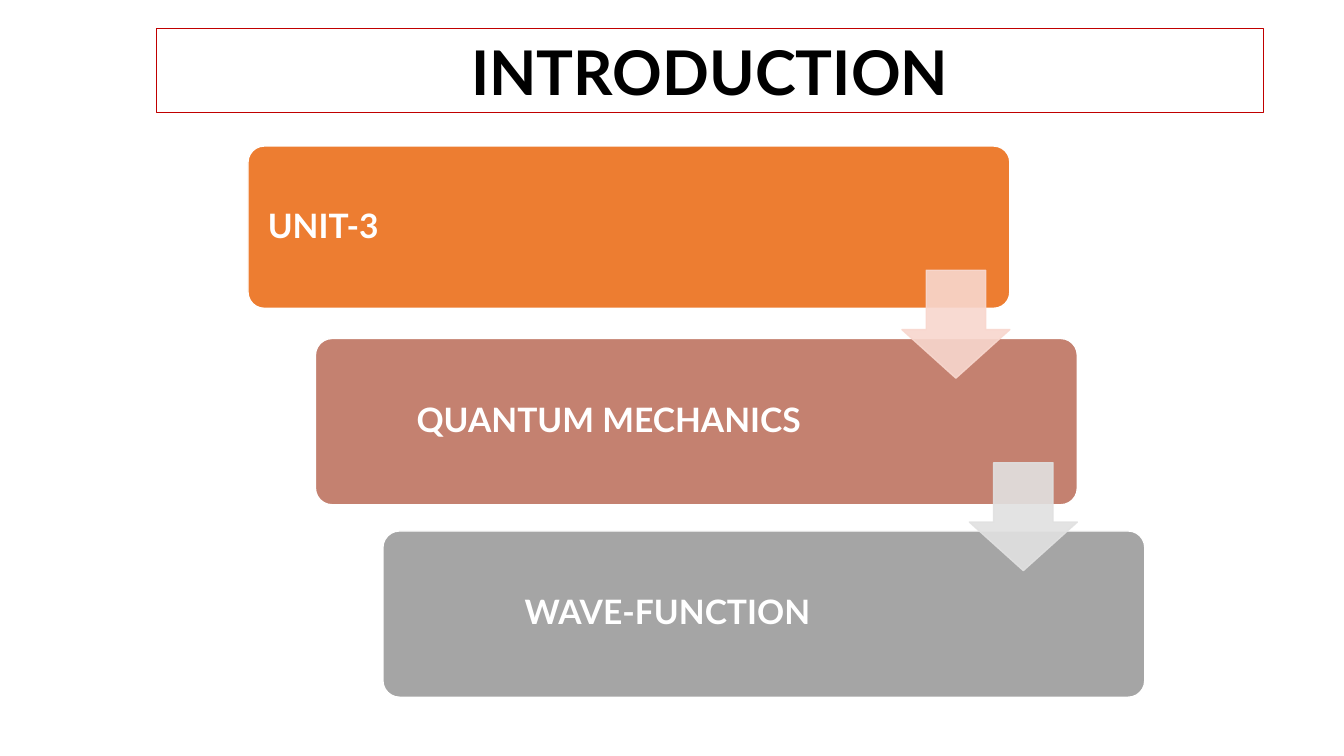
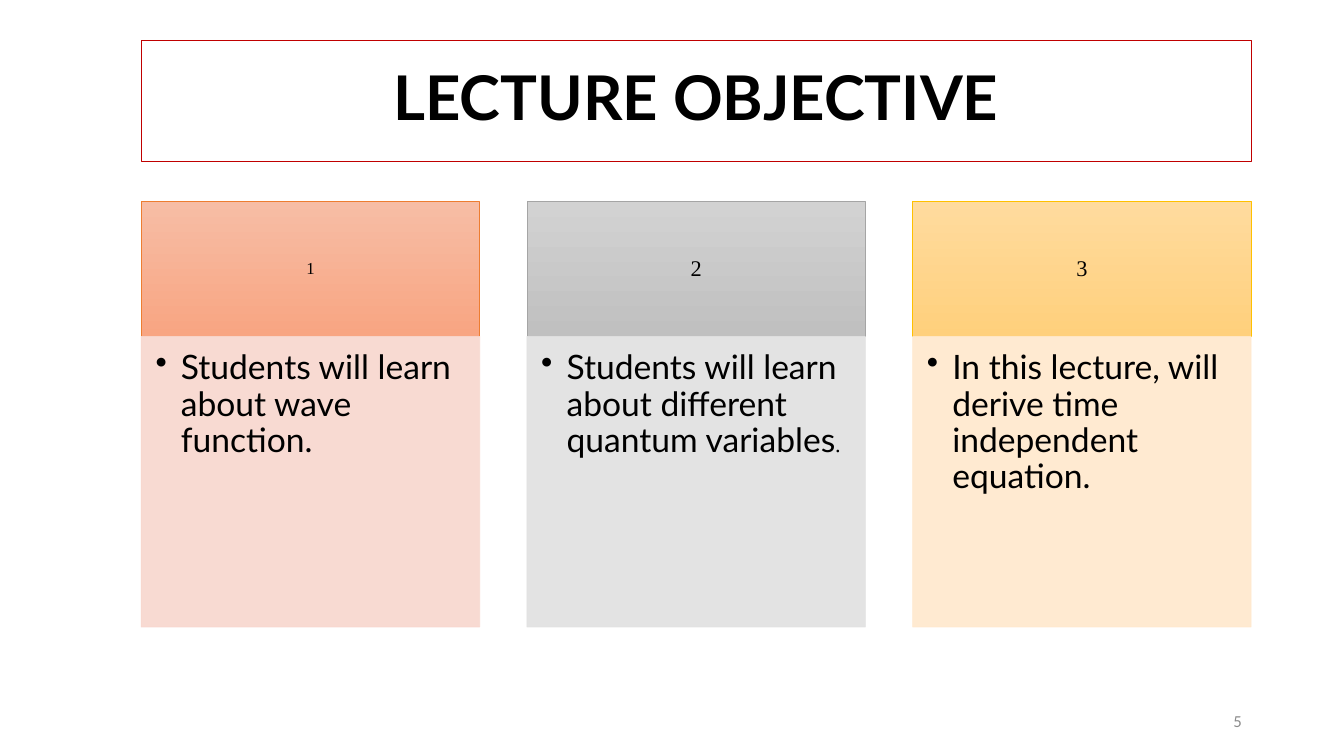
from dataclasses import dataclass

from lxml.etree import SubElement
from pptx import Presentation
from pptx.dml.color import RGBColor
from pptx.enum.shapes import MSO_SHAPE as Preset
from pptx.enum.text import MSO_ANCHOR as Anchor, PP_ALIGN as Align
from pptx.oxml.ns import qn
from pptx.shapes.autoshape import Shape
from pptx.slide import Slide
from pptx.util import Cm, Pt

BLACK, WHITE, TITLE_LINE, NUMBER_GREY = "000000", "FFFFFF", "C00000", "8C8C8C"
ORANGE, ROSE, GREY, GOLD = "ED7D31", "C48170", "A5A5A5", "FFC000"
PALE_ORANGE, PALE_GREY, PALE_GOLD = "F8D7CE", "E1E1E1", "FFE8CC"
HEADING_FONT, NUMBER_FONT, FOOTER_FONT = "Lato", "Times New Roman", "Calibri"
DEFAULT_INSETS = (0.25, 0.13, 0.25, 0.13)


@dataclass(frozen=True)
class Area:
    """Left, top, width and height in centimetres."""
    left: float
    top: float
    width: float
    height: float

    def lengths(self) -> tuple[Cm, Cm, Cm, Cm]:
        return Cm(self.left), Cm(self.top), Cm(self.width), Cm(self.height)


@dataclass(frozen=True)
class Span:
    text: str
    size: float
    font: str = HEADING_FONT
    color: str = BLACK
    bold: bool = False


@dataclass(frozen=True)
class Step:
    text: str
    color: str
    height: float
    inset_left: float
    inset_right: float
    align: Align = Align.LEFT
    arrow_color: str | None = None


@dataclass(frozen=True)
class Card:
    number: Span
    spans: tuple[Span, ...]
    line: str
    gradient: tuple[str, str]
    body: str


STEPS = (
    Step("UNIT-3", ORANGE, 4.09, 0.38, 4.5, arrow_color=PALE_ORANGE),
    Step("QUANTUM MECHANICS", ROSE, 4.19, 0.38, 4.8, Align.CENTER, PALE_GREY),
    Step("WAVE-FUNCTION", GREY, 4.19, 3.45, 4.8),
)
CARDS = (
    Card(Span("1", 12, NUMBER_FONT),
         (Span("Students will learn about wave function.", 24),),
         ORANGE, ("F7BDA5", "F8A582"), PALE_ORANGE),
    Card(Span("2", 16, NUMBER_FONT),
         (Span("Students will learn about different quantum variables", 24),
          Span(".", 16, NUMBER_FONT)),
         GREY, ("D2D2D2", "C0C0C0"), PALE_GREY),
    Card(Span("3", 16, NUMBER_FONT),
         (Span("In this lecture, will derive time independent equation.", 24),),
         GOLD, ("FFDB9E", "FFD07C"), PALE_GOLD),
)


def rgb(value: str) -> RGBColor:
    return RGBColor.from_string(value)


def add_shape(page: Slide, preset: Preset, area: Area, *, fill: str | None = None,
              gradient: tuple[str, str] | None = None, line: str = WHITE,
              line_width: float = 1, opacity: int = 100,
              adjustments: tuple[float, ...] = ()) -> Shape:
    shape = page.shapes.add_shape(preset, *area.lengths())
    shape.shadow.inherit = False
    for index, value in enumerate(adjustments):
        shape.adjustments[index] = value
    if gradient:
        shape.fill.gradient()
        shape.fill.gradient_angle = 270
        for stop, color in zip(shape.fill.gradient_stops, gradient):
            stop.color.rgb = rgb(color)
    elif fill:
        shape.fill.solid()
        shape.fill.fore_color.rgb = rgb(fill)
    else:
        shape.fill.background()
    shape.line.color.rgb = rgb(line)
    shape.line.width = Pt(line_width)
    if opacity < 100:
        for color in shape.element.spPr.iter(qn("a:srgbClr")):
            SubElement(color, qn("a:alpha"), val=str(opacity * 1000))
    return shape


def write(shape: Shape, *spans: Span, align: Align = Align.CENTER,
          anchor: Anchor = Anchor.MIDDLE, line_spacing: float = 0.9,
          insets: tuple[float, ...] = DEFAULT_INSETS, bullet: bool = False) -> None:
    """Fill the shape with one paragraph; insets run left, top, right, bottom."""
    frame = shape.text_frame
    frame.word_wrap = True
    frame.vertical_anchor = anchor
    (frame.margin_left, frame.margin_top,
     frame.margin_right, frame.margin_bottom) = map(Cm, insets)
    para = frame.paragraphs[0]
    para.alignment = align
    para.line_spacing = line_spacing
    if bullet:
        properties = para._p.get_or_add_pPr()
        properties.set("marL", str(Cm(0.64)))
        properties.set("indent", str(-Cm(0.64)))
        SubElement(properties, qn("a:buChar"), char="•")
    for span in spans:
        run = para.add_run()
        run.text = span.text
        run.font.size = Pt(span.size)
        run.font.name = span.font
        run.font.bold = span.bold
        run.font.color.rgb = rgb(span.color)


def add_title(page: Slide, text: str, area: Area, line_spacing: float = 0.9) -> None:
    box = add_shape(page, Preset.RECTANGLE, area, line=TITLE_LINE, line_width=0.75)
    write(box, Span(text, 44, bold=True), line_spacing=line_spacing)


def add_staircase(page: Slide) -> None:
    shift, drop = 1.7, 4.85
    for index, step in enumerate(STEPS):
        area = Area(6.25 + index * shift, 3.68 + index * drop, 19.2, step.height)
        block = add_shape(page, Preset.ROUNDED_RECTANGLE, area, fill=step.color,
                          adjustments=(0.1,))
        write(block, Span(step.text, 24, color=WHITE, bold=True), align=step.align,
              insets=(step.inset_left, 0.38, step.inset_right, 0.38))
    for index, step in enumerate(STEPS):
        if step.arrow_color:
            area = Area(22.73 + index * shift, 6.81 + index * drop, 2.72, 2.72)
            add_shape(page, Preset.DOWN_ARROW, area, fill=step.arrow_color,
                      line=step.arrow_color, opacity=90, adjustments=(0.55, 0.45))


def add_cards(page: Slide, left: float, total_width: float) -> None:
    """Spread the cards evenly over the total width."""
    width, top, head_height, body_height = 8.53, 5.08, 3.4, 7.32
    pitch = (total_width - width) / (len(CARDS) - 1)
    for index, card in enumerate(CARDS):
        x = left + index * pitch
        head = add_shape(page, Preset.RECTANGLE, Area(x, top, width, head_height),
                         gradient=card.gradient, line=card.line, line_width=0.5)
        write(head, card.number)
        body = add_shape(page, Preset.RECTANGLE,
                         Area(x, top + head_height, width, body_height),
                         fill=card.body, line=card.body, line_width=0.5, opacity=90)
        write(body, *card.spans, align=Align.LEFT, anchor=Anchor.TOP,
              insets=(0.36, 0.36, 0.48, 0.53), bullet=True)


def add_page_number(page: Slide, number: int) -> None:
    box = page.shapes.add_textbox(*Area(23.93, 17.65, 7.62, 1.02).lengths())
    write(box, Span(str(number), 12, FOOTER_FONT, NUMBER_GREY), align=Align.RIGHT,
          line_spacing=1.0)


def main() -> None:
    deck = Presentation()
    deck.slide_width, deck.slide_height = Cm(33.87), Cm(19.05)
    blank = deck.slide_layouts[6]

    introduction = deck.slides.add_slide(blank)
    add_staircase(introduction)
    add_title(introduction, "INTRODUCTION", Area(3.94, 0.71, 27.91, 2.13), 1.0)

    objective = deck.slides.add_slide(blank)
    title_area = Area(3.56, 1.02, 27.97, 3.05)
    add_title(objective, "LECTURE OBJECTIVE", title_area)
    add_page_number(objective, 5)
    add_cards(objective, title_area.left, title_area.width)

    deck.save("out.pptx")


if __name__ == "__main__":
    main()
